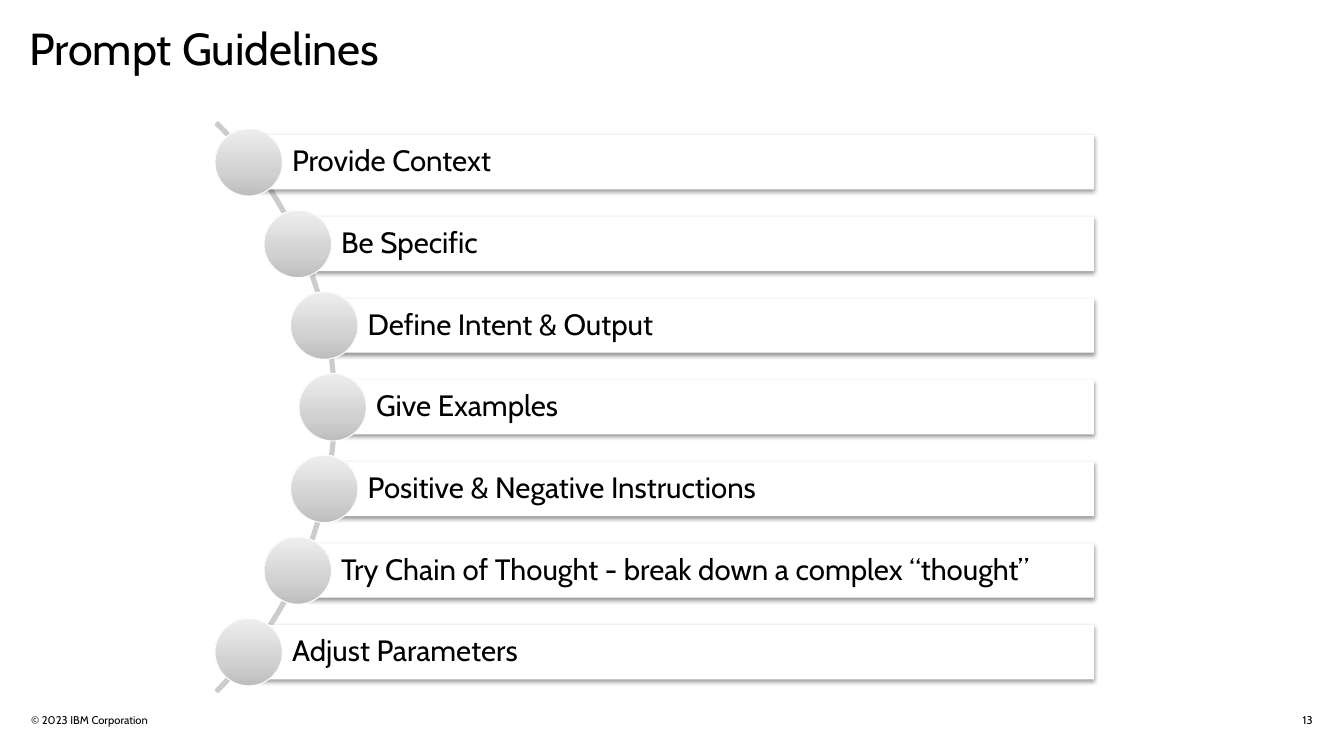
from copy import deepcopy
from math import sqrt

from lxml.etree import SubElement
from pptx import Presentation
from pptx.dml.color import RGBColor
from pptx.enum.shapes import MSO_SHAPE as Shape
from pptx.enum.text import MSO_ANCHOR as Anchor, PP_ALIGN as Align
from pptx.oxml.ns import qn
from pptx.util import Inches, Pt

BLACK = RGBColor(0, 0, 0)
WHITE = RGBColor(0xFF, 0xFF, 0xFF)
ARC_GREY = RGBColor(0xCC, 0xCC, 0xCC)
DOT_STOPS = [
    (0, RGBColor(0xBD, 0xBD, 0xBD)),
    (0.35, RGBColor(0xD1, 0xD1, 0xD1)),
    (1, RGBColor(0xEE, 0xEE, 0xEE)),
]
FONT = "Cabin"
GUIDELINES = [
    "Provide Context",
    "Be Specific",
    "Define Intent & Output",
    "Give Examples",
    "Positive & Negative Instructions",
    "Try Chain of Thought - break down a complex “thought”",
    "Adjust Parameters",
]


def write(frame, text, size, anchor, insets=(0, 0, 0, 0), align=Align.LEFT, wrap=True):
    """Fill a text frame with one run and return its paragraph."""
    frame.word_wrap = wrap
    frame.vertical_anchor = anchor
    frame.margin_left, frame.margin_top, frame.margin_right, frame.margin_bottom = map(Inches, insets)
    paragraph = frame.paragraphs[0]
    paragraph.alignment = align
    run = paragraph.add_run()
    run.text = text
    run.font.name = FONT
    run.font.size = Pt(size)
    run.font.color.rgb = BLACK
    return paragraph


def add_plain_shape(slide, kind, left, top, width, height):
    """Add a preset shape without a shadow."""
    shape = slide.shapes.add_shape(kind, *map(Inches, (left, top, width, height)))
    shape.shadow.inherit = False
    return shape


def add_soft_shadow(shape):
    """Give a shape a faint shadow falling straight down."""
    effects = shape._element.spPr.find(qn("a:effectLst"))
    shadow = SubElement(effects, qn("a:outerShdw"), blurRad=str(Pt(3.1)),
                        dist=str(Pt(1.6)), dir="5400000", rotWithShape="0")
    colour = SubElement(shadow, qn("a:srgbClr"), val=str(BLACK))
    SubElement(colour, qn("a:alpha"), val="38000")


def add_arc(slide, center_x, center_y, radius):
    """Draw the thin arc that links the guidelines."""
    arc = add_plain_shape(slide, Shape.BLOCK_ARC, center_x - radius, center_y - radius,
                          2 * radius, 2 * radius)
    for index, value in enumerate((189, 27, 0.003)):
        arc.adjustments[index] = value
    arc.fill.background()
    arc.line.color.rgb = ARC_GREY
    arc.line.width = Pt(2)


def add_bar(slide, left, top, width, height, text):
    """Add a white bar carrying one guideline."""
    bar = add_plain_shape(slide, Shape.RECTANGLE, left, top, width, height)
    bar.fill.solid()
    bar.fill.fore_color.rgb = WHITE
    bar.line.fill.background()
    add_soft_shadow(bar)
    paragraph = write(bar.text_frame, text, 21, Anchor.MIDDLE, (0.43, 0.06, 0.06, 0.06))
    paragraph.line_spacing = 0.9


def add_dot(slide, center_x, center_y, size):
    """Add a grey dot that lightens towards the top."""
    dot = add_plain_shape(slide, Shape.OVAL, center_x - size / 2, center_y - size / 2, size, size)
    dot.fill.gradient()
    stop_list = dot._element.spPr.find(".//" + qn("a:gsLst"))
    stop_list.append(deepcopy(stop_list[0]))
    for stop, (position, colour) in zip(dot.fill.gradient_stops, DOT_STOPS):
        stop.position = position
        stop.color.rgb = colour
    dot.fill.gradient_angle = 90
    dot.line.color.rgb = WHITE
    dot.line.width = Pt(0.75)


def add_guidelines(slide, left, top, width, height):
    """Lay the guidelines along an arc inside the given box."""
    radius, bar_height, dot_size, pitch = 3.99, 0.54, 0.67, 0.81
    center_x, center_y = left - 2.78, top + height / 2
    add_arc(slide, center_x, center_y, radius)
    for index, text in enumerate(GUIDELINES):
        offset = (index - (len(GUIDELINES) - 1) / 2) * pitch
        dot_x = center_x + sqrt((radius - 0.03) ** 2 - offset ** 2)
        dot_y = center_y + offset
        add_bar(slide, dot_x, dot_y - bar_height / 2, left + width - dot_x, bar_height, text)
        add_dot(slide, dot_x, dot_y, dot_size)


def add_label(slide, box, text, size, anchor, **options):
    """Add a text box with one line of text."""
    label = slide.shapes.add_textbox(*map(Inches, box))
    write(label.text_frame, text, size, anchor, **options)


def add_footer(slide, left, top, width, height):
    """Add the copyright line and the page number at the two ends of a strip."""
    add_label(slide, (left, top, 2.71, height), "© 2023 IBM Corporation", 8, Anchor.BOTTOM)
    add_label(slide, (left + width - 0.13, top + 0.08, 0.13, 0.13), "13", 8, Anchor.MIDDLE,
              align=Align.RIGHT, wrap=False)


def main():
    """Build the slide and save it."""
    deck = Presentation()
    deck.slide_width, deck.slide_height = Inches(13.33), Inches(7.5)
    slide = deck.slides.add_slide(deck.slide_layouts[6])
    add_label(slide, (0.29, 0.21, 8.03, 1.56), "Prompt Guidelines", 32, Anchor.TOP,
              insets=(0, 0, 0.5, 0))
    add_guidelines(slide, 2.12, 1.23, 8.73, 5.62)
    add_footer(slide, 0.31, 7, 12.71, 0.21)
    deck.save("out.pptx")


if __name__ == "__main__":
    main()
